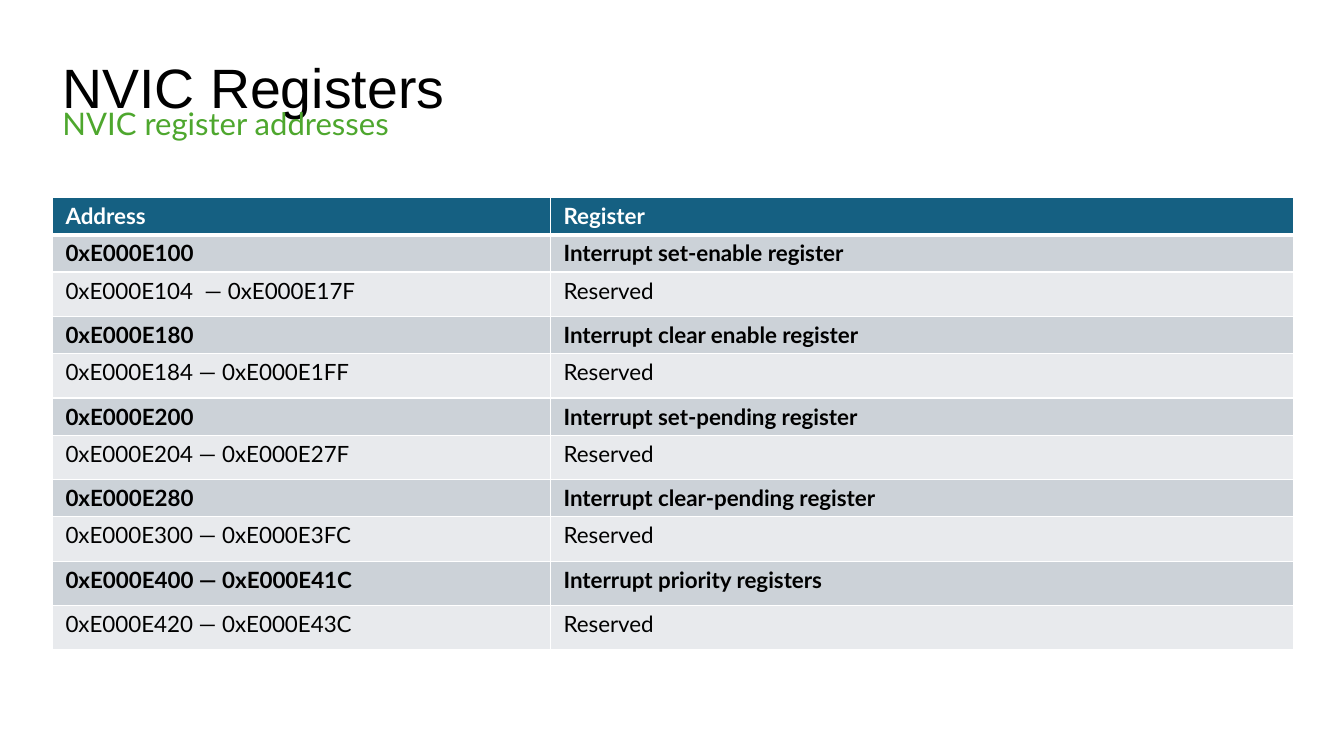
import pptx
import pptx.util
import pptx.dml.color
import pptx.enum.text
import pptx.oxml.ns
import lxml.etree

# Content
TITLE = "NVIC Registers"
SUBTITLE = "NVIC register addresses"
HEADER = ("Address", "Register")
REGISTERS = [
    ("0xE000E100", "Interrupt set-enable register"),
    ("0xE000E104  — 0xE000E17F", "Reserved"),
    ("0xE000E180", "Interrupt clear enable register"),
    ("0xE000E184 — 0xE000E1FF", "Reserved"),
    ("0xE000E200", "Interrupt set-pending register"),
    ("0xE000E204 — 0xE000E27F", "Reserved"),
    ("0xE000E280", "Interrupt clear-pending register"),
    ("0xE000E300 — 0xE000E3FC", "Reserved"),
    ("0xE000E400 — 0xE000E41C", "Interrupt priority registers"),
    ("0xE000E420 — 0xE000E43C", "Reserved"),
]

# Layout in inches
SLIDE_W, SLIDE_H = 13.33, 7.5
LEFT, TEXT_W = 0.52, 12.28
TABLE_TOP, COLUMNS = 1.96, (4.94, 7.37)
ROW_SINGLE, ROW_RANGE = 0.37, 0.44
BLACK, WHITE, GREEN = "000000", "FFFFFF", "4EA72E"
HEADER_FILL, REGISTER_FILL, RESERVED_FILL = "156082", "CCD2D8", "E8EAED"

inch = pptx.util.Inches


def color(hex_code):
    return pptx.dml.color.RGBColor.from_string(hex_code)


def style(p, font, size, hex_code, bold=False):
    p.font.name = font
    p.font.size = pptx.util.Pt(size)
    p.font.bold = bold
    p.font.color.rgb = color(hex_code)


def add_heading(slide, text, top, height, inset, spacing, font, size, hex_code):
    sp = slide.shapes.add_textbox(inch(LEFT), inch(top), inch(TEXT_W), inch(height))
    tf = sp.text_frame
    tf.word_wrap = True
    tf.vertical_anchor = pptx.enum.text.MSO_ANCHOR.TOP
    tf.margin_top, tf.margin_bottom = inch(inset), 0
    p = tf.paragraphs[0]
    p.text = text
    p.line_spacing = spacing
    style(p, font, size, hex_code)


def add_borders(cell, bottom_width):
    tc_pr = cell._tc.get_or_add_tcPr()
    widths = {"a:lnL": 1, "a:lnR": 1, "a:lnT": 1, "a:lnB": bottom_width}
    for i, (tag, width) in enumerate(widths.items()):
        ln = lxml.etree.Element(pptx.oxml.ns.qn(tag), w=str(pptx.util.Pt(width)))
        fill = lxml.etree.SubElement(ln, pptx.oxml.ns.qn("a:solidFill"))
        lxml.etree.SubElement(fill, pptx.oxml.ns.qn("a:srgbClr"), val=WHITE)
        tc_pr.insert(i, ln)  # borders precede the cell fill


def fill_cell(cell, text, fill, hex_code, bold, bottom_width):
    cell.margin_left = cell.margin_right = inch(0.13)
    cell.margin_top = cell.margin_bottom = inch(0.05)
    cell.fill.solid()
    cell.fill.fore_color.rgb = color(fill)
    p = cell.text_frame.paragraphs[0]
    p.text = text
    style(p, "Lato", 16, hex_code, bold)
    add_borders(cell, bottom_width)


def main():
    prs = pptx.Presentation()
    prs.slide_width, prs.slide_height = inch(SLIDE_W), inch(SLIDE_H)
    slide = prs.slides.add_slide(prs.slide_layouts[6])

    # Title and subtitle
    add_heading(slide, TITLE, 0.52, 0.56, 0.08, 0.9, "Arial", 39.6, BLACK)
    add_heading(slide, SUBTITLE, 1.08, 0.38, 0.06, 0.7, "Lato", 22.2, GREEN)

    # Register table: address ranges get the taller rows
    rows = [HEADER] + REGISTERS
    heights = [ROW_RANGE if "—" in address else ROW_SINGLE for address, _ in rows]
    table = slide.shapes.add_table(
        len(rows), len(COLUMNS), inch(LEFT), inch(TABLE_TOP),
        inch(sum(COLUMNS)), inch(sum(heights))).table
    for column, width in zip(table.columns, COLUMNS):
        column.width = inch(width)
    for r, (row, height) in enumerate(zip(rows, heights)):
        table.rows[r].height = inch(height)
        if r == 0:
            look = (HEADER_FILL, WHITE, True, 3)
        elif row[1] == "Reserved":
            look = (RESERVED_FILL, BLACK, False, 1)
        else:
            look = (REGISTER_FILL, BLACK, True, 1)
        for c, text in enumerate(row):
            fill_cell(table.cell(r, c), text, *look)

    prs.save("out.pptx")


if __name__ == "__main__":
    main()
